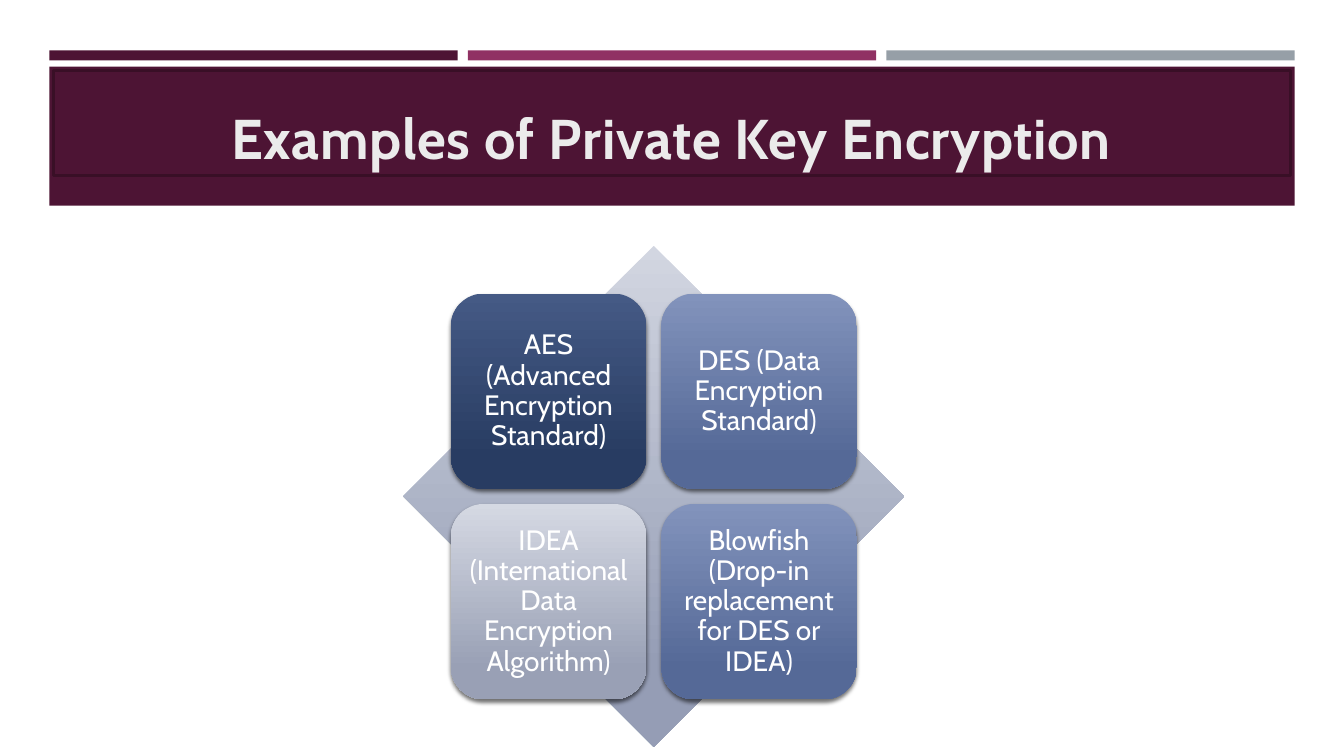
from dataclasses import dataclass

from lxml import etree
from pptx import Presentation
from pptx import util as u
from pptx.dml.color import RGBColor
from pptx.enum import shapes, text
from pptx.oxml.ns import qn


@dataclass(frozen=True)
class Theme:
    """Colours, font and type sizes of the slide."""
    font: str = "Cabin"
    head: int = 40
    body: int = 20
    plum: str = "4D1434"
    edge: str = "390F26"
    bars: tuple = ("4D1434", "903163", "969FA7")
    pale: str = "EBEBEB"
    white: str = "FFFFFF"
    back: tuple = ("D2D6E1", "959DB5")
    navy: tuple = ("455A85", "283C62")
    blue: tuple = ("8293BC", "556997")
    grey: tuple = ("D5D9E3", "99A0B5")


T = Theme()
KIND = shapes.MSO_SHAPE
CARDS = [
    ("AES (Advanced Encryption Standard)", T.navy),
    ("DES (Data Encryption Standard)", T.blue),
    ("IDEA (International Data Encryption Algorithm)", T.grey),
    ("Blowfish (Drop-in replacement for DES or IDEA)", T.blue),
]


def draw(slide, kind, box, fill, line=None):
    """Add a shape with a plain fill or a two-colour downward gradient."""
    shape = slide.shapes.add_shape(kind, *(u.Inches(n) for n in box))
    shape.shadow.inherit = False
    if isinstance(fill, str):
        shape.fill.solid()
        shape.fill.fore_color.rgb = RGBColor.from_string(fill)
    else:
        shape.fill.gradient()
        shape.fill.gradient_angle = 270
        for stop, hue, spot in zip(shape.fill.gradient_stops, fill, (0, 0.84)):
            stop.color.rgb = RGBColor.from_string(hue)
            stop.position = spot
    if line:
        shape.line.color.rgb = RGBColor.from_string(line)
        shape.line.width = u.Pt(1.75)
    else:
        shape.line.fill.background()
    return shape


def write(shape, words, size, color, bold=False, anchor="MIDDLE",
          inset=(0.08, 0.08), lead=1.0, track=0):
    """Put centred text into a shape."""
    frame = shape.text_frame
    frame.word_wrap = True
    frame.vertical_anchor = text.MSO_ANCHOR[anchor]
    frame.margin_left = frame.margin_right = u.Inches(inset[0])
    frame.margin_top = frame.margin_bottom = u.Inches(inset[1])
    para = frame.paragraphs[0]
    para.alignment = text.PP_ALIGN.CENTER
    para.line_spacing = lead
    run = para.add_run()
    run.text = words
    run.font.name = T.font
    run.font.size = u.Pt(size)
    run.font.bold = bold
    run.font.color.rgb = RGBColor.from_string(color)
    if track:
        run._r.get_or_add_rPr().set("spc", str(int(track * 100)))


def shade(shape):
    """Give a shape a soft shadow below it."""
    effects = shape._element.spPr.find(qn("a:effectLst"))
    outer = etree.SubElement(effects, qn("a:outerShdw"), blurRad=str(u.Pt(3)),
                             dist=str(u.Pt(2)), dir="5400000", rotWithShape="0")
    hue = etree.SubElement(outer, qn("a:srgbClr"), val="000000")
    etree.SubElement(hue, qn("a:alpha"), val="55000")


def header(slide, box, title):
    """Draw three bars above a title band."""
    x, y, w, h = box
    gap = 0.1
    bar = (w - 2 * gap) / 3
    for i, hue in enumerate(T.bars):
        draw(slide, KIND.RECTANGLE, (x + i * (bar + gap), y, bar, 0.1), hue)
    draw(slide, KIND.RECTANGLE, (x, y + 0.16, w, h - 0.16), T.plum)
    panel = draw(slide, KIND.RECTANGLE, (x + 0.04, y + 0.2, w - 0.08, 1.04),
                 T.plum, T.edge)
    write(panel, title, T.head, T.pale, bold=True, anchor="BOTTOM",
          inset=(0.1, 0.05), track=0.5)


def matrix(slide, box, cards):
    """Draw a diamond with a two by two grid of cards at its centre."""
    x, y, side = box
    draw(slide, KIND.DIAMOND, (x, y, side, side), T.back)
    card, pitch = side * 0.39, side * 0.42
    edge = (side - card - pitch) / 2
    for i, (words, fill) in enumerate(cards):
        row, col = divmod(i, 2)
        tile = draw(slide, KIND.ROUNDED_RECTANGLE,
                    (x + edge + col * pitch, y + edge + row * pitch, card, card),
                    fill)
        shade(tile)
        write(tile, words, T.body, T.white, lead=0.9)


def main():
    """Build and save the slide."""
    deck = Presentation()
    deck.slide_width, deck.slide_height = u.Inches(13.33), u.Inches(7.5)
    slide = deck.slides.add_slide(deck.slide_layouts[6])
    header(slide, (0.49, 0.5, 12.35, 1.54), "Examples of Private Key Encryption")
    matrix(slide, (4, 2.44, 4.97), CARDS)
    deck.save("out.pptx")


if __name__ == "__main__":
    main()
